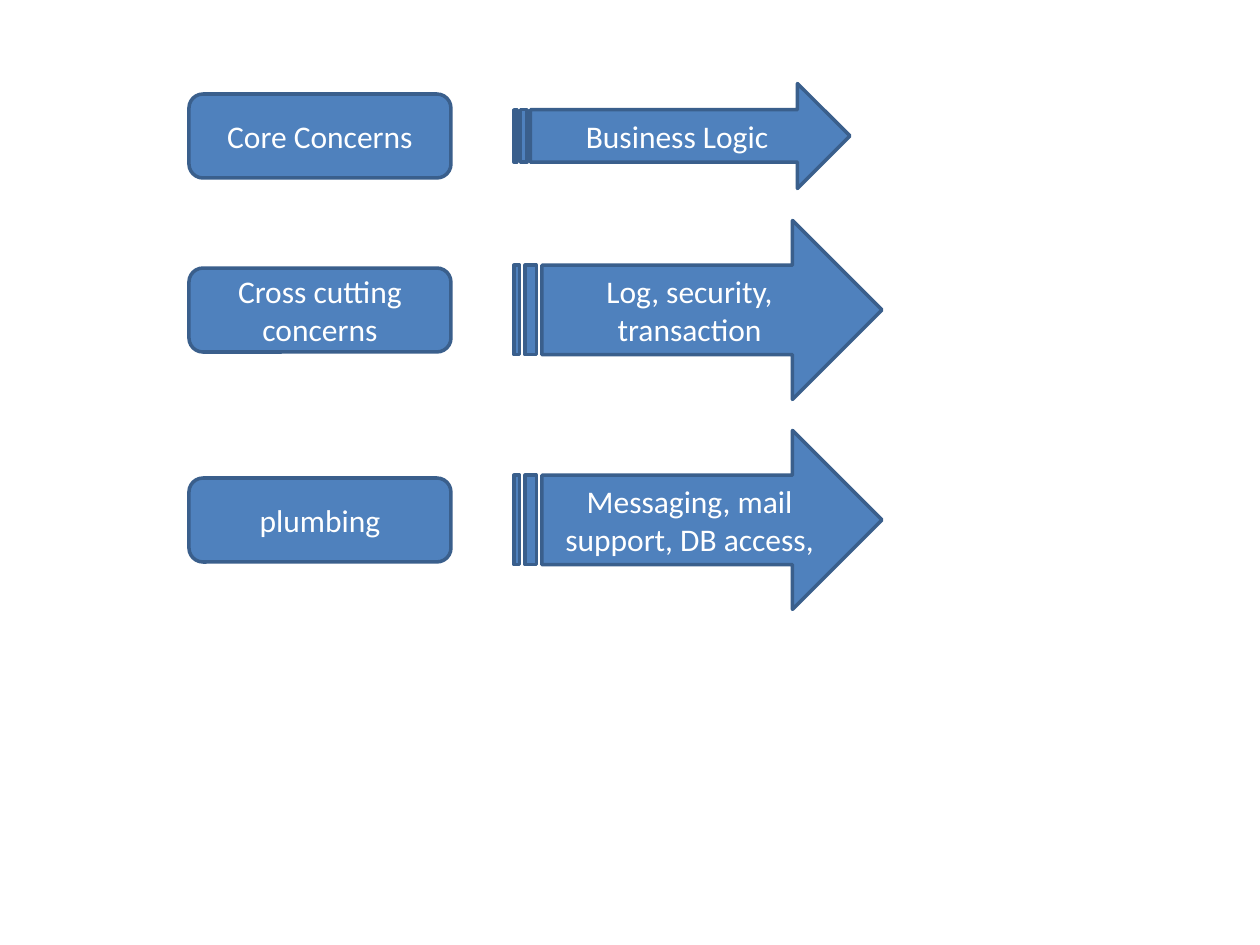
from pptx import Presentation
from pptx import util as u
from pptx.dml.color import RGBColor
from pptx.enum import shapes, text

PIXEL = u.Inches(1) / 126
COLORS = {"fill": "4F81BD", "line": "3A5F8C", "text": "FFFFFF"}


def px(length):
    return u.Emu(round(length * PIXEL))


def color(name):
    return RGBColor.from_string(COLORS[name])


class Diagram:
    """Holds the style and the current slide."""
    font, size, line_width = "Calibri", u.Pt(18), u.Pt(2)

    def __init__(self, slide):
        self.slide = slide

    def block(self, preset, left, middle, width, height, label):
        """Add a labelled shape centred vertically on middle."""
        shape = self.slide.shapes.add_shape(
            preset, px(left), px(middle - height / 2), px(width), px(height))
        shape.shadow.inherit = False
        shape.fill.solid()
        shape.fill.fore_color.rgb = color("fill")
        shape.line.color.rgb = color("line")
        shape.line.width = self.line_width

        frame = shape.text_frame
        frame.word_wrap = True
        frame.vertical_anchor = text.MSO_ANCHOR.MIDDLE
        paragraph = frame.paragraphs[0]
        paragraph.text = label
        paragraph.alignment = text.PP_ALIGN.CENTER
        paragraph.font.name = self.font
        paragraph.font.size = self.size
        paragraph.font.color.rgb = color("text")

    def concern(self, middle, label):
        self.block(shapes.MSO_SHAPE.ROUNDED_RECTANGLE, 189, middle, 262, 84, label)

    def example_arrow(self, middle, width, height, label):
        self.block(shapes.MSO_SHAPE.STRIPED_RIGHT_ARROW, 514, middle, width, height, label)


presentation = Presentation()
presentation.slide_width, presentation.slide_height = px(1260), px(945)
diagram = Diagram(presentation.slides.add_slide(presentation.slide_layouts[6]))

# Each row: middle, concern, arrow width and height, examples
rows = [
    (136, "Core Concerns", 336, 105, "Business Logic"),
    (310, "Cross cutting concerns", 368, 179, "Log, security, transaction"),
    (520, "plumbing", 368, 179, "Messaging, mail support, DB access,"),
]
for middle, concern, width, height, examples in rows:
    diagram.concern(middle, concern)
    diagram.example_arrow(middle, width, height, examples)

presentation.save("out.pptx")
